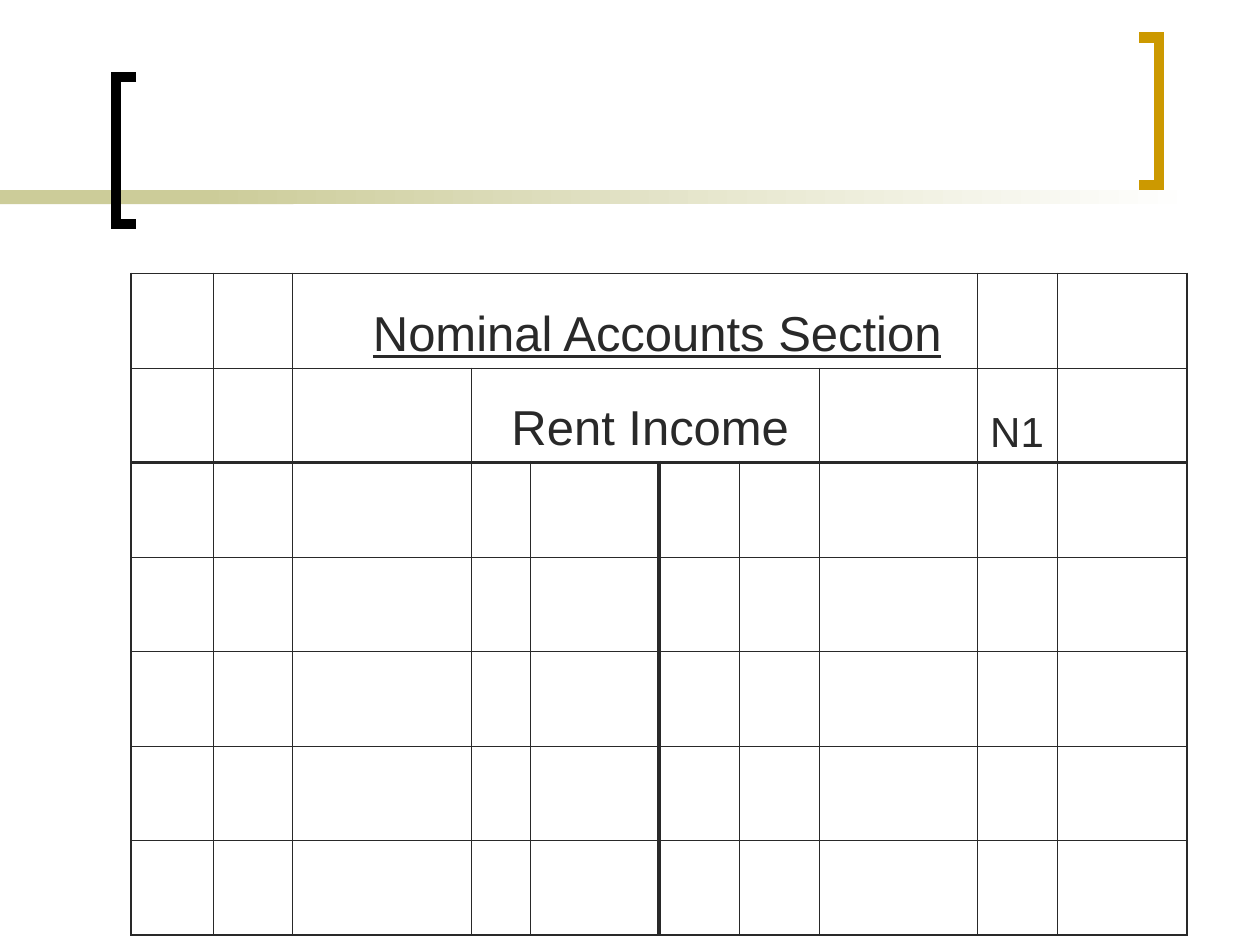
from lxml import etree
from pptx import Presentation
from pptx import util as u
from pptx.dml import color
from pptx.enum import shapes, text
from pptx.oxml import ns

THIN, EDGE, THICK = 0.45, 1.08, 2.21
INK, SAND, GOLD = "292929", "CCCC99", "CC9900"
COLS = [0.65, 0.63, 1.42, 0.47, 1.02, 0.64, 0.63, 1.26, 0.63, 1.03]
ROWS = [0.75] * 7
HEAD_ROWS, LEFT_COLS = 2, 5


def rgb(value):
    """Return the colour for a hex string."""
    return color.RGBColor.from_string(value)


def put_text(tf, words, size=28, font="Arial", ink=INK, underline=False):
    """Write one formatted run into a text frame."""
    r = tf.paragraphs[0].add_run()
    r.text = words
    r.font.size = u.Pt(size)
    r.font.name = font
    r.font.underline = underline
    r.font.color.rgb = rgb(ink)


def row_line(i):
    """Return the weight of the horizontal rule above row i."""
    return {0: EDGE, HEAD_ROWS: THICK, len(ROWS): EDGE}.get(i, THIN)


def col_line(row, i):
    """Return the weight of the vertical rule left of column i in a row."""
    if i in (0, len(COLS)):
        return EDGE
    return THICK if i == LEFT_COLS and row >= HEAD_ROWS else THIN


class Ledger:
    """Hold the slide and the style of the ledger page."""

    def __init__(self, prs):
        """Add an empty slide."""
        self.s = prs.slides.add_slide(prs.slide_layouts[6])

    def band(self, x, y, w, h, start, end):
        """Draw a bar that fades from start to end."""
        sp = self.s.shapes.add_shape(
            shapes.MSO_SHAPE.RECTANGLE, *map(u.Inches, (x, y, w, h)))
        sp.shadow.inherit = False
        sp.line.fill.background()
        if start == end:
            sp.fill.solid()
            sp.fill.fore_color.rgb = rgb(start)
            return
        sp.fill.gradient()
        sp.fill.gradient_angle = 0
        for stop, value, place in zip(sp.fill.gradient_stops, (start, end), (0, 1)):
            stop.color.rgb = rgb(value)
            stop.position = place

    def bracket(self, spine, tip, top, ink, height=1.17):
        """Draw a square bracket whose arms run from spine to tip."""
        points = [(spine, top), (spine, top + height), (tip, top + height)]
        fb = self.s.shapes.build_freeform(u.Inches(tip), u.Inches(top))
        fb.add_line_segments(
            [(u.Inches(x), u.Inches(y)) for x, y in points], close=False)
        sp = fb.convert_to_shape()
        sp.shadow.inherit = False
        sp.fill.background()
        sp.line.width = u.Pt(6)
        sp.line.color.rgb = rgb(ink)
        ln = sp.line._get_or_add_ln()
        etree.SubElement(ln, ns.qn("a:miter")).set("lim", "800000")

    def borders(self, cell, **weights):
        """Rule the sides of a cell, given as L, R, T and B in points."""
        tcPr = cell._tc.get_or_add_tcPr()
        for side, weight in weights.items():
            ln = etree.SubElement(tcPr, ns.qn(f"a:ln{side}"))
            ln.set("w", str(u.Pt(weight)))
            fill = etree.SubElement(ln, ns.qn("a:solidFill"))
            etree.SubElement(fill, ns.qn("a:srgbClr")).set("val", INK)

    def table(self, x, y, merges):
        """Add the ruled grid and return it."""
        frame = self.s.shapes.add_table(
            len(ROWS), len(COLS), u.Inches(x), u.Inches(y),
            u.Inches(sum(COLS)), u.Inches(sum(ROWS)))
        tbl = frame.table
        tbl.first_row = tbl.horz_banding = False
        style = tbl._tbl.tblPr.find(ns.qn("a:tableStyleId"))
        style.text = "{2D5ABB26-0587-4C30-8999-92F81FD0307C}"
        for col, width in zip(tbl.columns, COLS):
            col.width = u.Inches(width)
        for row, height in zip(tbl.rows, ROWS):
            row.height = u.Inches(height)
        for row, first, last in merges:
            tbl.cell(row, first).merge(tbl.cell(row, last))
        for i in range(len(ROWS)):
            for j in range(len(COLS)):
                cell = tbl.cell(i, j)
                if cell.is_spanned:
                    continue
                end = j + (cell.span_width if cell.is_merge_origin else 1)
                self.borders(cell, L=col_line(i, j), R=col_line(i, end),
                             T=row_line(i), B=row_line(i + 1))
                cell.fill.background()
        return tbl

    def entry(self, cell, words, indent=0.1, **style):
        """Write a heading at the foot of a cell."""
        cell.vertical_anchor = text.MSO_ANCHOR.BOTTOM
        cell.margin_left = u.Inches(indent)
        put_text(cell.text_frame, words, **style)


def main():
    """Build the ledger slide."""
    prs = Presentation()
    prs.slide_width, prs.slide_height = u.Inches(10), u.Inches(7.5)
    page = Ledger(prs)
    page.band(0, 1.51, 2.33, 0.11, SAND, SAND)
    page.band(1.58, 1.51, 7.92, 0.11, SAND, "FFFFFF")
    page.bracket(0.92, 1.08, 0.61, "000000")
    page.bracket(9.2, 9.04, 0.3, GOLD)
    tbl = page.table(1.04, 2.17, merges=[(0, 2, 7), (1, 3, 6)])
    page.entry(tbl.cell(0, 2), "Nominal Accounts Section", indent=0.64, underline=True)
    page.entry(tbl.cell(1, 3), "Rent Income", indent=0.32)
    page.entry(tbl.cell(1, 8), "N1", size=24)
    prs.save("out.pptx")


if __name__ == "__main__":
    main()
